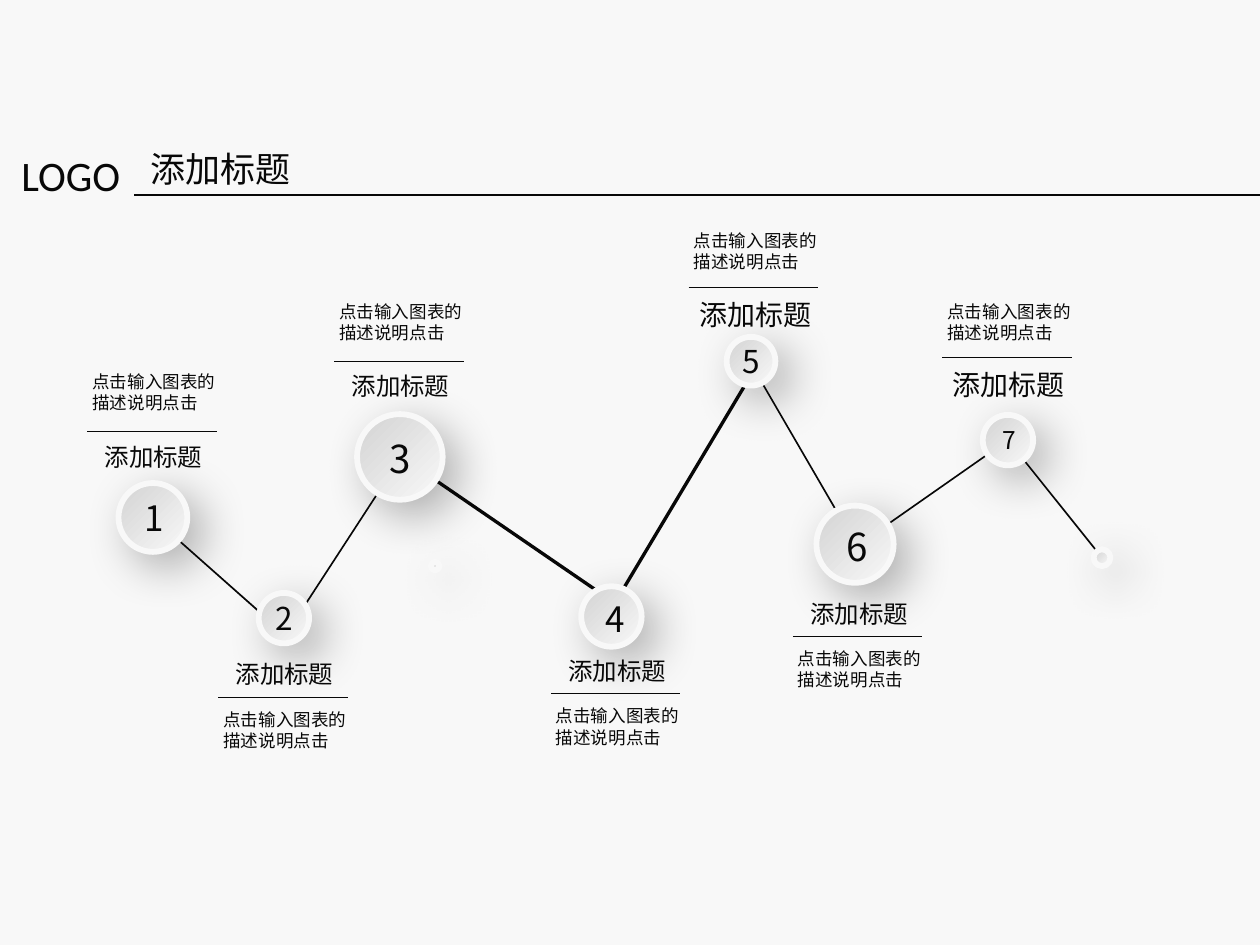
import math
import pptx
import pptx.dml.color
import pptx.enum.shapes
import pptx.enum.text
import pptx.oxml
import pptx.oxml.ns
import pptx.util

# Content: lengths in inches, text sizes in points
WIDTH = 7.5
HEIGHT = WIDTH * 3 / 4
COLORS = {"paper": "F8F8F8", "ink": "080808", "dark": "D3D3D3", "shadow": "000000"}
CJK, LATIN = "Noto Sans CJK SC", "Calibri"
HEADING, BRAND = "添加标题", "LOGO"
DETAIL = "点击输入图表的描述说明点击"

# Joints of the zigzag and the thickness of each stretch between them
JOINTS = [(0.91, 3.08), (1.7, 3.78), (2.39, 2.72), (3.66, 3.59),
          (4.49, 2.2), (5.1, 3.25), (6, 2.62), (6.56, 3.32)]
THICKNESS = [0.01, 0.01, 0.02, 0.02, 0.01, 0.01, 0.01]

# Bubbles: label, centre x, centre y, diameter, label size, label shift x, y
BUBBLES = [
    ("1", 0.91, 3.08, 0.41, 15, 0.01, 0),
    ("", 2.59, 3.37, 0.05, 0, 0, 0),
    ("3", 2.38, 2.72, 0.51, 16.5, 0, 0.01),
    ("4", 3.64, 3.67, 0.36, 15, 0.02, 0.01),
    ("6", 5.09, 3.24, 0.46, 16.5, 0.01, 0.01),
    ("7", 6, 2.62, 0.3, 10.5, 0.01, 0),
    ("5", 4.47, 2.15, 0.29, 13.5, 0, 0),
    ("2", 1.69, 3.68, 0.3, 13.5, 0, 0),
    ("", 6.56, 3.32, 0.1, 0, 0, 0),
]

# Captions: rule left, rule y, heading size, whether the heading is under the rule
CAPTIONS = [
    (0.52, 2.57, 10.5, True), (1.99, 2.15, 10.5, True),
    (3.28, 4.13, 10.5, False), (4.72, 3.79, 10.5, False),
    (5.61, 2.13, 12, True), (4.1, 1.71, 12, True), (1.3, 4.15, 10.5, False),
]
RULE = 0.77

inch = pptx.util.Inches
deck = pptx.Presentation()
deck.slide_width, deck.slide_height = inch(WIDTH), inch(HEIGHT)
page = deck.slides.add_slide(deck.slide_layouts[6])


def color(name):
    return pptx.dml.color.RGBColor.from_string(COLORS[name])


def add_text(text, left, top, width, height, size, font=CJK, center=False):
    box = page.shapes.add_textbox(*map(inch, (left, top, width, height)))
    box.text_frame.word_wrap = not center
    box.text_frame.text = text
    para = box.text_frame.paragraphs[0]
    if center:
        para.alignment = pptx.enum.text.PP_ALIGN.CENTER
    if font == CJK:
        para.line_spacing = pptx.util.Pt(size * 1.2)
    span = para.runs[0]
    span.font.size = pptx.util.Pt(size)
    span.font.name = font
    span.font.color.rgb = color("ink")
    east = pptx.oxml.parse_xml(
        f'<a:ea {pptx.oxml.ns.nsdecls("a")} typeface="{font}"/>')
    span.font._element.find(pptx.oxml.ns.qn("a:latin")).addnext(east)


def add_rule(left, y, right, weight):
    rule = page.shapes.add_connector(
        pptx.enum.shapes.MSO_CONNECTOR.STRAIGHT, *map(inch, (left, y, right, y)))
    rule.line.color.rgb = color("ink")
    rule.line.width = pptx.util.Pt(weight)
    rule._element.spPr.append(
        pptx.oxml.parse_xml(f'<a:effectLst {pptx.oxml.ns.nsdecls("a")}/>'))


def add_stretch(start, end, thickness):
    (x1, y1), (x2, y2) = start, end
    half = thickness / 2 / math.dist(start, end)
    dx, dy = (y1 - y2) * half, (x2 - x1) * half
    corners = [(x1 + dx, y1 + dy), (x2 + dx, y2 + dy),
               (x2 - dx, y2 - dy), (x1 - dx, y1 - dy)]
    corners = [(inch(x), inch(y)) for x, y in corners]
    builder = page.shapes.build_freeform(*corners[0])
    builder.add_line_segments(corners[1:], close=True)
    stretch = builder.convert_to_shape()
    stretch.shadow.inherit = False
    stretch.fill.solid()
    stretch.fill.fore_color.rgb = color("ink")
    stretch.line.fill.background()


def add_bubble(x, y, diameter):
    bubble = page.shapes.add_shape(
        pptx.enum.shapes.MSO_SHAPE.OVAL,
        *map(inch, (x - diameter / 2, y - diameter / 2, diameter, diameter)))
    bubble.fill.gradient()
    bubble.fill.gradient_angle = 315
    for stop, name in zip(bubble.fill.gradient_stops, ("dark", "paper")):
        stop.color.rgb = color(name)
    bubble.line.color.rgb = color("paper")
    bubble.line.width = pptx.util.Pt(2.5)
    bubble.shadow.inherit = False
    effects = bubble._element.spPr.find(pptx.oxml.ns.qn("a:effectLst"))
    effects.append(pptx.oxml.parse_xml(
        f'<a:outerShdw {pptx.oxml.ns.nsdecls("a")} blurRad="{pptx.util.Pt(20)}" '
        f'dist="{pptx.util.Pt(8)}" dir="2700000" algn="tl" rotWithShape="0">'
        f'<a:srgbClr val="{COLORS["shadow"]}"><a:alpha val="30000"/></a:srgbClr>'
        '</a:outerShdw>'))


# Background
page.background.fill.solid()
page.background.fill.fore_color.rgb = color("paper")

# Zigzag
for start, end, thickness in zip(JOINTS, JOINTS[1:], THICKNESS):
    add_stretch(start, end, thickness)

# Numbered bubbles
for label, x, y, diameter, size, shift_x, shift_y in BUBBLES:
    add_bubble(x, y, diameter)
    if label:
        tall = 0.1 + size * 1.2 / 72
        add_text(label, x + shift_x - 0.16, y + shift_y - tall / 2,
                 0.32, tall, size, center=True)

# Captions
for left, y, size, heading_under in CAPTIONS:
    tall = 0.1 + size * 1.2 / 72
    wide = 0.2 + size * len(HEADING) / 72
    heading_top = y + 0.01 if heading_under else y - tall
    detail_top = y - (0.41 if size < 12 else 0.39) if heading_under else y + 0.02
    add_text(HEADING, left + (RULE - wide) / 2 + 0.01, heading_top,
             wide, tall, size, center=True)
    add_rule(left, y, left + RULE, 0.4)
    add_text(DETAIL, left - 0.07, detail_top, 0.94, 0.35, 7.5)

# Header
add_text(HEADING, 0.8, 0.83, 2.79, 0.35, 15)
add_rule(0.8, 1.16, WIDTH, 0.75)
add_text(BRAND, 0.03, 0.84, 0.83, 0.4, 18, font=LATIN)

deck.save("out.pptx")
